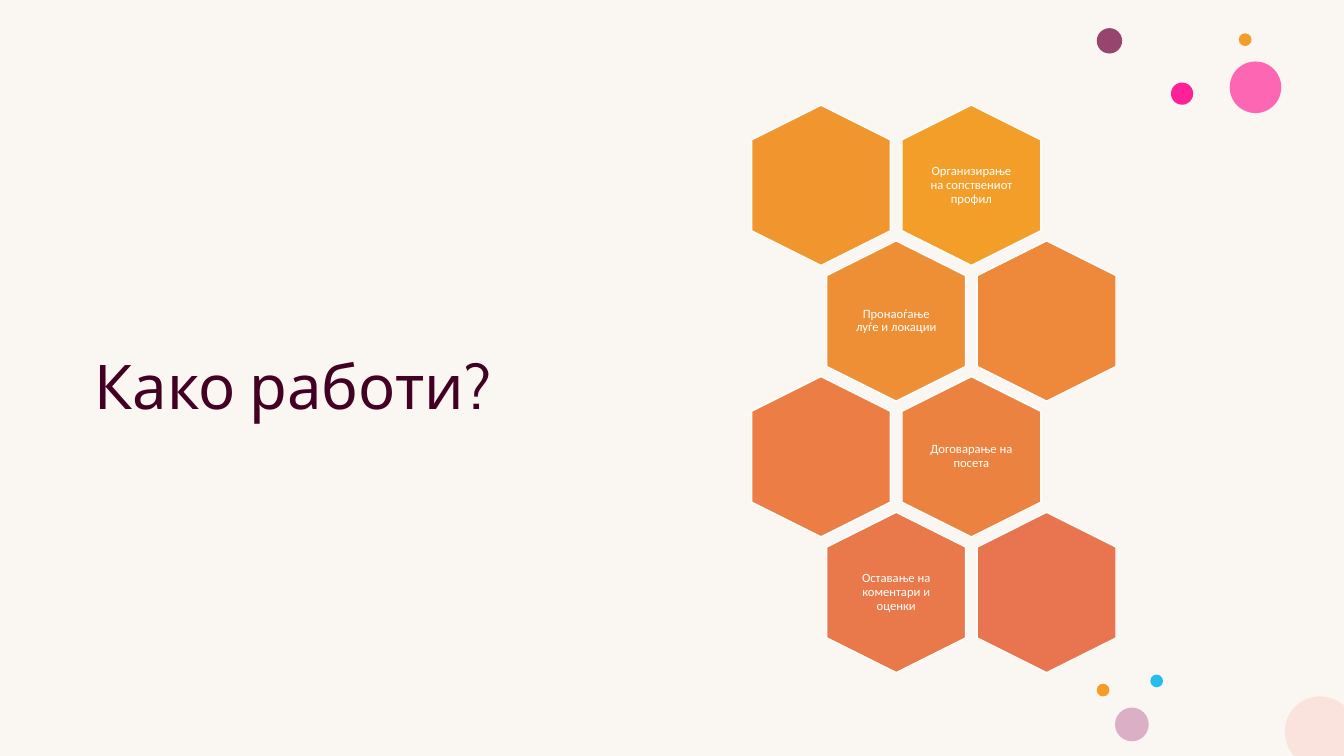
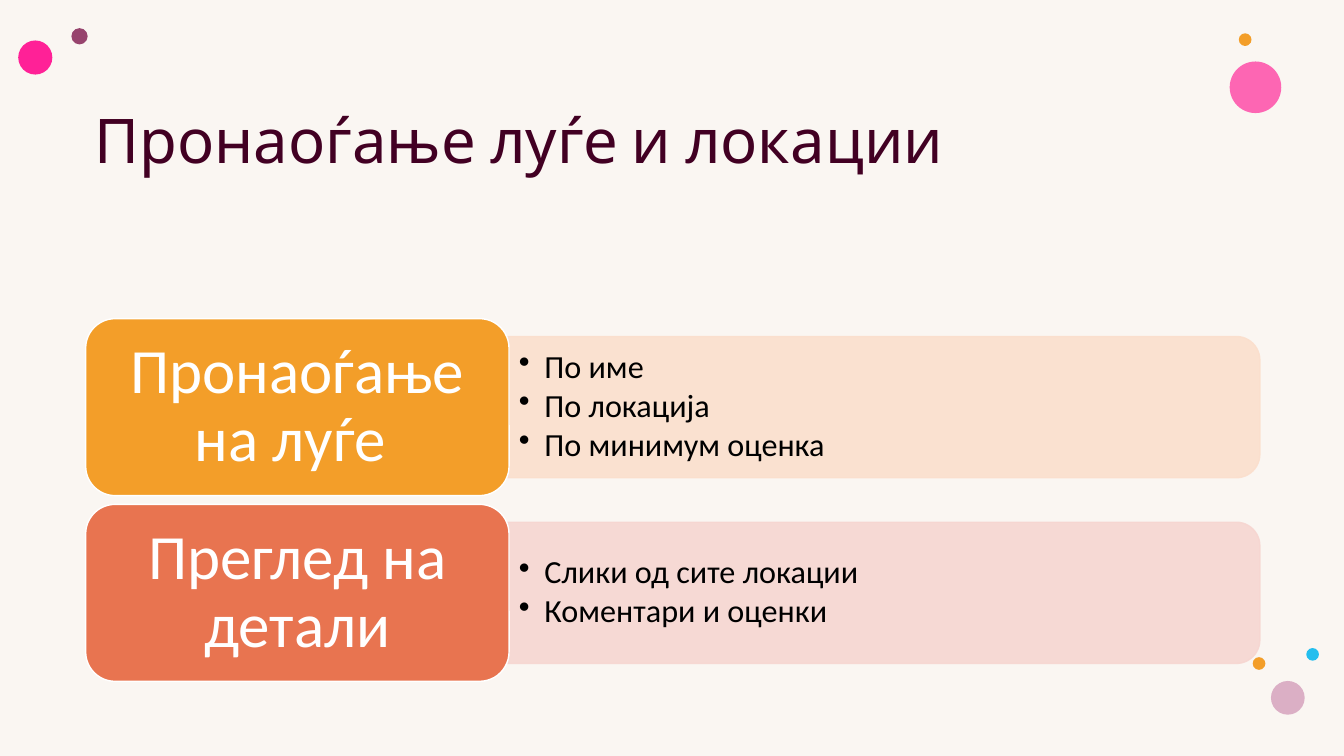
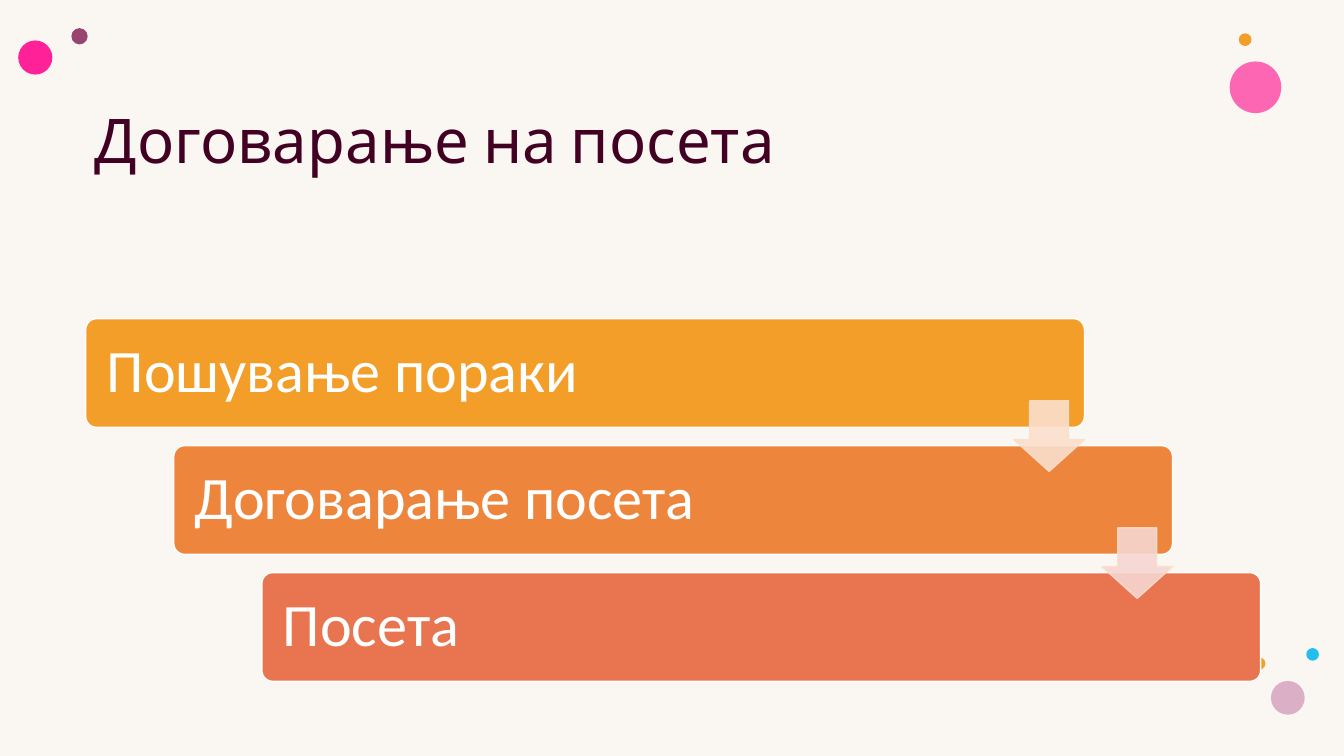
import math

import pptx
import pptx.dml.color
import pptx.enum.shapes
import pptx.enum.text
import pptx.oxml
import pptx.oxml.ns
import pptx.util

Cm = pptx.util.Cm
Pt = pptx.util.Pt
RGBColor = pptx.dml.color.RGBColor
SHAPE = pptx.enum.shapes.MSO_SHAPE
ALIGN = pptx.enum.text.PP_ALIGN
ANCHOR = pptx.enum.text.MSO_ANCHOR

SLIDE_W, SLIDE_H = 33.87, 19.05

CREAM = RGBColor(0xFA, 0xF6, 0xF2)
WHITE = RGBColor(0xFF, 0xFF, 0xFF)
BLACK = RGBColor(0x00, 0x00, 0x00)
WINE = RGBColor(0x42, 0x00, 0x23)
PLUM = RGBColor(0x97, 0x44, 0x6E)
PINK = RGBColor(0xFF, 0x2F, 0x9C)
MAGENTA = RGBColor(0xFF, 0x21, 0x97)
LILAC = RGBColor(0xDB, 0xAF, 0xC5)
BLUE = RGBColor(0x24, 0xBE, 0xEE)
BLUSH = RGBColor(0xFA, 0xE3, 0xDC)
AMBER = RGBColor(0xF3, 0x9E, 0x29)
ORANGE = RGBColor(0xED, 0x85, 0x3D)
CORAL = RGBColor(0xE8, 0x74, 0x50)
PALE_AMBER = RGBColor(0xFA, 0xDF, 0xCD)
PALE_CORAL = RGBColor(0xF6, 0xD6, 0xD1)

TITLE_FONT = {"name": "Cabin", "size": Pt(44), "color": WINE}
HEXAGON_FONT = {"name": "Calibri", "size": Pt(9), "color": WHITE}
CARD_FONT = {"name": "Calibri", "size": Pt(45), "color": WHITE}
STEP_FONT = {"name": "Calibri", "size": Pt(43), "color": WHITE}
BULLET_FONT = {"name": "Calibri", "size": Pt(23), "color": BLACK}

HEXAGON_ROWS = [
    [("", RGBColor(0xF1, 0x96, 0x2F)), ("Организирање на сопствениот профил", AMBER)],
    [("Пронаоѓање луѓе и локации", RGBColor(0xEF, 0x8F, 0x35)),
     ("", RGBColor(0xEE, 0x88, 0x3A))],
    [("", RGBColor(0xEB, 0x7D, 0x45)),
     ("Договарање на посета", RGBColor(0xEC, 0x82, 0x40))],
    [("Оставање на коментари и оценки", RGBColor(0xE9, 0x78, 0x4B)), ("", CORAL)],
]
SEARCH_ROWS = [
    ("Пронаоѓање на луѓе ", AMBER, PALE_AMBER,
     ["По име", "По локација", "По минимум оценка"]),
    ("Преглед на детали", CORAL, PALE_CORAL,
     ["Слики од сите локации", "Коментари и оценки"]),
]
STEPS = [("Пошување пораки", AMBER), ("Договарање посета", ORANGE), ("Посета", CORAL)]


def apply(obj, values):
    for name, value in values.items():
        if name == "color":
            obj.color.rgb = value
        else:
            setattr(obj, name, value)


def paint(sp, fill, line=None, alpha=100):
    """Set fill, 1 pt outline and the opacity of both, in percent."""
    sp.shadow.inherit = False
    sp.fill.solid()
    sp.fill.fore_color.rgb = fill
    if line is None:
        sp.line.fill.background()
    else:
        apply(sp.line, {"color": line, "width": Pt(1)})
    if alpha < 100:
        for clr in sp.element.spPr.iter(pptx.oxml.ns.qn("a:srgbClr")):
            clr.append(pptx.oxml.parse_xml(
                f'<a:alpha {pptx.oxml.ns.nsdecls("a")} val="{alpha * 1000}"/>'))


def add_shape(slide, kind, x, y, w, h, fill, line=None, alpha=100):
    sp = slide.shapes.add_shape(kind, Cm(x), Cm(y), Cm(w), Cm(h))
    paint(sp, fill, line, alpha)
    return sp


def add_bullet(p):
    pPr = p._p.get_or_add_pPr()
    indent = Cm(0.64)
    pPr.set("marL", str(indent))
    pPr.set("indent", str(-indent))
    pPr.append(pptx.oxml.parse_xml(
        f'<a:buChar {pptx.oxml.ns.nsdecls("a")} char="•"/>'))


def write(sp, lines, font, margins=(0.25, 0.13), align=ALIGN.LEFT,
          anchor=ANCHOR.MIDDLE, bullets=False):
    """Fill a shape with paragraphs; margins are horizontal and vertical."""
    tf = sp.text_frame
    side, end = map(Cm, margins)
    apply(tf, {"word_wrap": True, "vertical_anchor": anchor,
               "margin_left": side, "margin_right": side,
               "margin_top": end, "margin_bottom": end})
    for i, line in enumerate(lines):
        p = tf.add_paragraph() if i else tf.paragraphs[0]
        apply(p, {"alignment": align, "line_spacing": 0.9})
        if bullets:
            p.space_after = Pt(3)
            add_bullet(p)
        r = p.add_run()
        r.text = line
        apply(r.font, font)


def add_text(slide, x, y, w, h, lines, font, **layout):
    sp = slide.shapes.add_textbox(Cm(x), Cm(y), Cm(w), Cm(h))
    write(sp, lines, font, **layout)


def add_title(slide, text, w=29.92, h=5, anchor=ANCHOR.TOP):
    add_text(slide, 2.13, 2.64, w, h, [text], TITLE_FONT, anchor=anchor)


def add_dots(slide, plum, magenta, cluster):
    """Draw the dots; plum and magenta are x, y, size, cluster is x, y."""
    x, y = cluster
    dots = [
        (*plum, PLUM, 100),
        (30.99, 1.55, 1.3, PINK, 72),
        (31.22, 0.84, 0.32, AMBER, 100),
        (*magenta, MAGENTA, 100),
        (x + 1.35, y - 0.23, 0.32, BLUE, 100),
        (x + 0.46, y + 0.6, 0.85, LILAC, 100),
        (x, y, 0.32, AMBER, 100),
    ]
    for left, top, size, color, alpha in dots:
        add_shape(slide, SHAPE.OVAL, left, top, size, size, color, alpha=alpha)


def add_corner_disc(slide, cx, cy, radius):
    """Draw a disc cut off by the right and bottom slide edges."""
    points = []
    for deg in range(0, 360, 3):
        a = math.radians(deg)
        points.append((Cm(min(cx + radius * math.cos(a), SLIDE_W)),
                       Cm(min(cy + radius * math.sin(a), SLIDE_H))))
    builder = slide.shapes.build_freeform(*points[0])
    builder.add_line_segments(points[1:])
    paint(builder.convert_to_shape(), BLUSH)


def add_hexagon(slide, cx, cy, text, color):
    length, width = 4.04, 3.5
    sp = add_shape(slide, SHAPE.HEXAGON, cx - length / 2, cy - width / 2,
                   length, width, color, WHITE)
    sp.rotation = 90
    if text:
        w, h = 2.41, 2.77
        add_text(slide, cx - w / 2, cy - h / 2, w, h, [text], HEXAGON_FONT,
                 margins=(0.1, 0.1), align=ALIGN.CENTER)


def add_search_row(slide, y, label, color, pale, items):
    card_x, card_w, card_h = 2.16, 10.67, 4.46
    panel_x, panel_w, panel_h = 12.8, 18.95, 3.56
    cy = y + card_h / 2
    panel = add_shape(slide, SHAPE.ROUND_2_SAME_RECTANGLE,
                      panel_x + (panel_w - panel_h) / 2, cy - panel_w / 2,
                      panel_h, panel_w, pale, pale, 90)
    panel.rotation = 90
    add_text(slide, panel_x + 0.03, cy - 1.61, 18.77, 3.22, items, BULLET_FONT,
             bullets=True)
    card = add_shape(slide, SHAPE.ROUNDED_RECTANGLE, card_x, y, card_w, card_h,
                     color, WHITE)
    write(card, [label], CARD_FONT, margins=(0.48, 0.24), align=ALIGN.CENTER)


def add_steps(slide):
    dx, dy = 2.22, 3.2
    for i, (text, color) in enumerate(STEPS):
        sp = add_shape(slide, SHAPE.ROUNDED_RECTANGLE, 2.16 + i * dx,
                       8.03 + i * dy, 25.17, 2.74, color, WHITE)
        sp.adjustments[0] = 0.1
        write(sp, [text], STEP_FONT, margins=(0.45, 0.45))
    for i, pale in enumerate([PALE_AMBER, PALE_CORAL]):
        arrow = add_shape(slide, SHAPE.DOWN_ARROW, 25.55 + i * dx, 10.1 + i * dy,
                          1.78, 1.78, pale, PALE_AMBER, 90)
        arrow.adjustments[0] = 0.55
        arrow.adjustments[1] = 0.45


def add_slide(prs):
    return prs.slides.add_slide(prs.slide_layouts[6])


def add_topic_slide(prs, title):
    slide = add_slide(prs)
    add_dots(slide, (1.8, 0.71, 0.41), (0.46, 1.02, 0.86), (31.57, 16.56))
    add_title(slide, title)
    return slide


def build_overview(prs):
    slide = add_slide(prs)
    add_title(slide, "Како работи?", w=12.8, h=14.33, anchor=ANCHOR.MIDDLE)
    add_dots(slide, (27.64, 0.71, 0.64), (29.51, 2.08, 0.56), (27.64, 17.23))
    add_corner_disc(slide, 33.27, 18.44, 0.89)
    dx, dy = 3.79, 3.42
    for row, cells in enumerate(HEXAGON_ROWS):
        for col, (text, color) in enumerate(cells):
            add_hexagon(slide, 20.69 + (col + row % 2 / 2) * dx, 4.67 + row * dy,
                        text, color)


def build_search(prs):
    slide = add_topic_slide(prs, "Пронаоѓање луѓе и локации")
    for i, row in enumerate(SEARCH_ROWS):
        add_search_row(slide, 8.03 + i * 4.68, *row)


def build_visit(prs):
    add_steps(add_topic_slide(prs, "Договарање на посета"))


def main():
    prs = pptx.Presentation()
    apply(prs, {"slide_width": Cm(SLIDE_W), "slide_height": Cm(SLIDE_H)})
    background = prs.slide_master.background.fill
    background.solid()
    background.fore_color.rgb = CREAM
    build_overview(prs)
    build_search(prs)
    build_visit(prs)
    prs.save("out.pptx")


if __name__ == "__main__":
    main()
